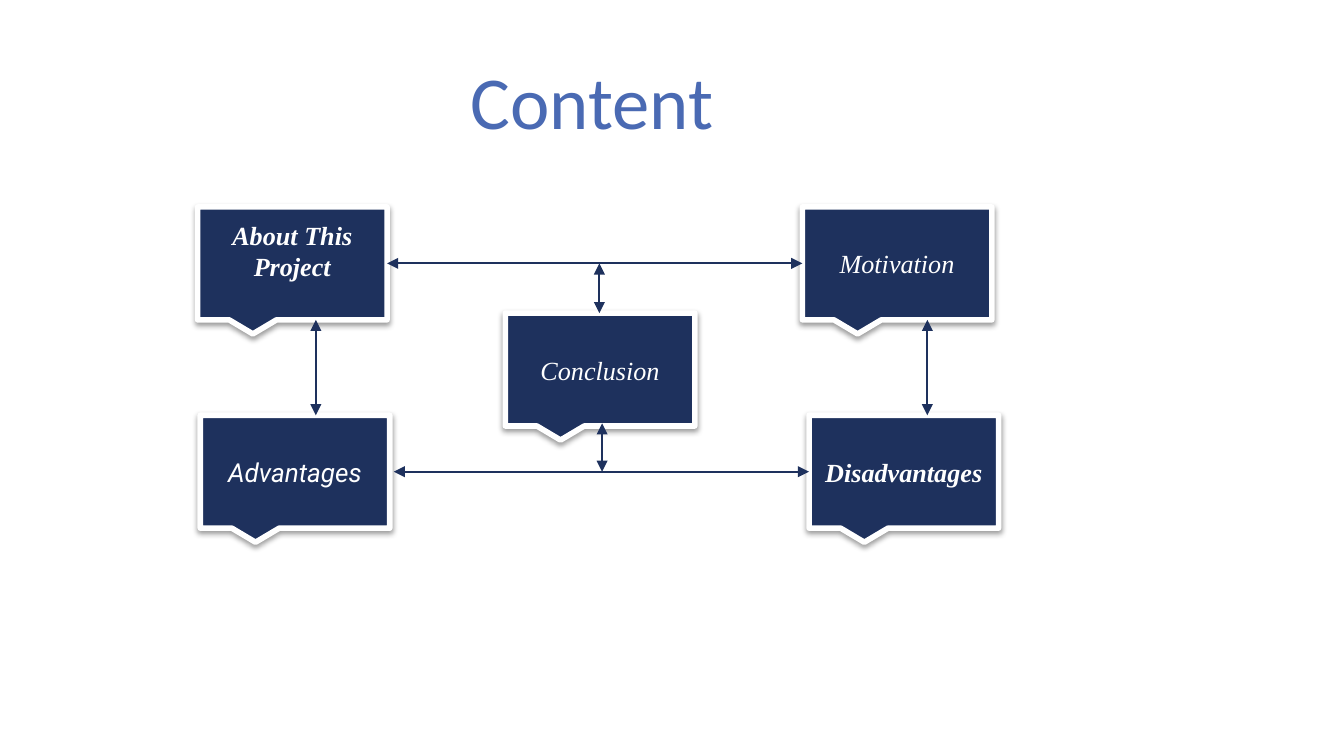
import pptx
import pptx.dml.color
import pptx.enum.shapes
import pptx.enum.text
import pptx.oxml
import pptx.oxml.ns
import pptx.util

Inches = pptx.util.Inches
Pt = pptx.util.Pt
RGBColor = pptx.dml.color.RGBColor
PP_ALIGN = pptx.enum.text.PP_ALIGN
MSO_ANCHOR = pptx.enum.text.MSO_ANCHOR

NAVY = RGBColor(0x1E, 0x31, 0x5D)
BLUE = RGBColor(0x4A, 0x6A, 0xB3)
WHITE = RGBColor(0xFF, 0xFF, 0xFF)
SERIF = "Times New Roman"
CALLOUT_WIDTH, CALLOUT_HEIGHT = 1.41, 0.84
SHADOW = (
    '<a:effectLst %s><a:outerShdw blurRad="39370" dist="20320" dir="5400000">'
    '<a:srgbClr val="000000"><a:alpha val="38000"/></a:srgbClr>'
    "</a:outerShdw></a:effectLst>" % pptx.oxml.ns.nsdecls("a")
)
CALLOUTS = [
    ("About This Project", 1.47, 1.54, SERIF, True, 0.24),
    ("Conclusion", 3.76, 2.33, SERIF, False, 0.05),
    ("Motivation", 5.97, 1.54, SERIF, False, 0.05),
    ("Advantages", 1.49, 3.09, "Roboto", False, 0.05),
    ("Disadvantages", 6.02, 3.09, SERIF, True, 0.05),
]
ARROWS = [
    (2.88, 1.96, 5.97, 1.96),
    (4.46, 1.96, 4.46, 2.33),
    (2.35, 2.38, 2.35, 3.09),
    (6.9, 2.38, 6.9, 3.09),
    (2.93, 3.51, 6.02, 3.51),
    (4.48, 3.15, 4.48, 3.51),
]


def set_title(page, text):
    """Place and format the slide title."""
    title = page.shapes.title
    title.left, title.top = Inches(3.17), Inches(0.44)
    title.width, title.height = Inches(2.47), Inches(0.62)
    frame = title.text_frame
    frame.text = text
    frame.auto_size = pptx.enum.text.MSO_AUTO_SIZE.NONE
    frame.vertical_anchor = MSO_ANCHOR.TOP
    frame.margin_left = frame.margin_right = Inches(0.1)
    frame.margin_top = frame.margin_bottom = Inches(0.1)
    para = frame.paragraphs[0]
    para.alignment = PP_ALIGN.CENTER
    para.line_spacing = 0.8
    para.font.name, para.font.size = "Calibri", Pt(40)
    para.font.color.rgb = BLUE


def add_callout(page, text, left, top, font_name, bold, bottom_margin):
    """Add a navy callout with a white border, soft shadow and italic label."""
    callout = page.shapes.add_shape(
        pptx.enum.shapes.MSO_SHAPE.RECTANGULAR_CALLOUT,
        Inches(left), Inches(top), Inches(CALLOUT_WIDTH), Inches(CALLOUT_HEIGHT),
    )
    callout.fill.solid()
    callout.fill.fore_color.rgb = NAVY
    callout.line.color.rgb = WHITE
    callout.line.width = Pt(3)
    callout._element.spPr.append(pptx.oxml.parse_xml(SHADOW))
    frame = callout.text_frame
    frame.text = text
    frame.word_wrap = True
    frame.vertical_anchor = MSO_ANCHOR.MIDDLE
    frame.margin_bottom = Inches(bottom_margin)
    para = frame.paragraphs[0]
    para.alignment = PP_ALIGN.CENTER
    para.font.name, para.font.size = font_name, Pt(14)
    para.font.bold, para.font.italic = bold, True
    para.font.color.rgb = WHITE


def add_double_arrow(page, *ends):
    """Add a straight connector with a triangle at both ends."""
    arrow = page.shapes.add_connector(
        pptx.enum.shapes.MSO_CONNECTOR.STRAIGHT, *map(Inches, ends)
    )
    arrow.line.color.rgb = NAVY
    arrow.line.width = Pt(1)
    outline = arrow.line._get_or_add_ln()
    for tag in ("a:headEnd", "a:tailEnd"):
        tip = pptx.oxml.xmlchemy.OxmlElement(tag)
        tip.set("type", "triangle")
        outline.append(tip)
    arrow._element.spPr.append(pptx.oxml.xmlchemy.OxmlElement("a:effectLst"))


def main():
    """Build the content overview slide."""
    deck = pptx.Presentation()
    deck.slide_width = Inches(10)
    deck.slide_height = deck.slide_width * 9 // 16
    page = deck.slides.add_slide(deck.slide_layouts[5])
    set_title(page, "Content")
    for callout in CALLOUTS:
        add_callout(page, *callout)
    for ends in ARROWS:
        add_double_arrow(page, *ends)
    deck.save("out.pptx")


if __name__ == "__main__":
    main()
